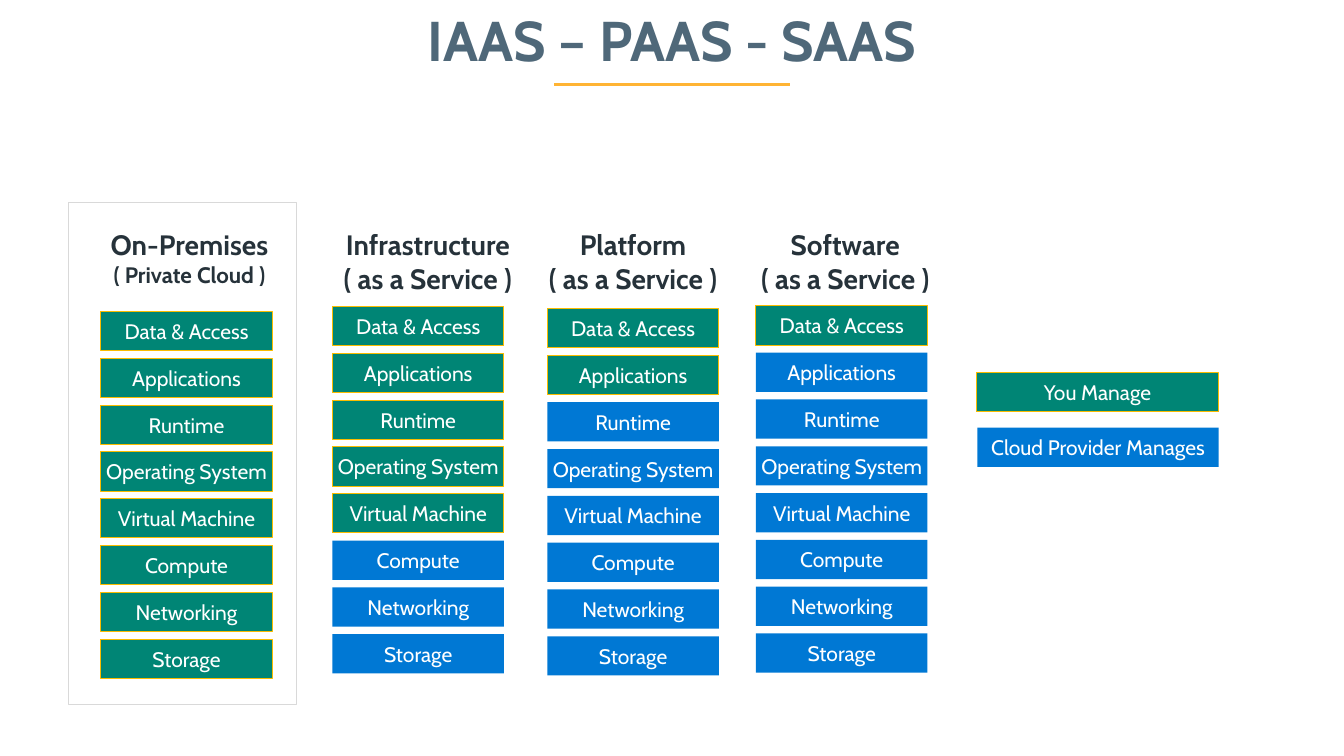
from collections import namedtuple

from lxml.etree import SubElement
from pptx import Presentation
from pptx.dml.color import RGBColor
from pptx.enum.shapes import MSO_CONNECTOR, MSO_SHAPE
from pptx.enum.text import MSO_ANCHOR, MSO_AUTO_SIZE, PP_ALIGN
from pptx.oxml.ns import qn
from pptx.util import Pt

FONT = "Cabin"
SLATE = RGBColor(0x4F, 0x68, 0x79)
INK = RGBColor(0x26, 0x32, 0x3A)
WHITE = RGBColor(0xFF, 0xFF, 0xFF)
GREEN = RGBColor(0x00, 0x85, 0x75)
BLUE = RGBColor(0x00, 0x78, 0xD4)
GOLD = RGBColor(0xF9, 0xBC, 0x00)
ORANGE = RGBColor(0xFF, 0xB4, 0x34)
GREY = RGBColor(0xD9, 0xD9, 0xD9)

SLIDE_WIDTH, SLIDE_HEIGHT = 960, 540
LAYER_WIDTH, LAYER_HEIGHT, LAYER_PITCH = 122.5, 28, 33.43
HEADING_TOP, HEADING_HEIGHT = 162.7, 46.8

LAYERS = ["Data & Access", "Applications", "Runtime", "Operating System",
          "Virtual Machine", "Compute", "Networking", "Storage"]

# "managed" counts the layers, from the top, that the customer manages.
Model = namedtuple("Model", "name note note_size managed left top heading_left heading_width")
MODELS = [
    Model("On-Premises", "( Private Cloud )", 16, 8, 72, 222.5, 65.5, 139.7),
    Model("Infrastructure", "( as a Service )", 20, 5, 237.5, 219, 226.8, 157.7),
    Model("Platform", "( as a Service )", 20, 2, 391, 220.5, 377.3, 149.8),
    Model("Software", "( as a Service )", 20, 1, 540, 218.5, 527.8, 151.9),
]


def write_text(shape, lines, sizes, color, bold=False, anchor=MSO_ANCHOR.TOP, inset=0):
    """Write centred lines, each with its own size."""
    frame = shape.text_frame
    frame.word_wrap = True
    frame.auto_size = MSO_AUTO_SIZE.NONE
    frame.vertical_anchor = anchor
    frame.margin_left = frame.margin_right = Pt(inset)
    frame.margin_top = frame.margin_bottom = Pt(inset)
    for index, (line, size) in enumerate(zip(lines, sizes)):
        paragraph = frame.add_paragraph() if index else frame.paragraphs[0]
        paragraph.alignment = PP_ALIGN.CENTER
        run = paragraph.add_run()
        run.text = line
        run.font.name = FONT
        run.font.size = Pt(size)
        run.font.bold = bold
        run.font.color.rgb = color


def add_rectangle(slide, left, top, width, height, fill=None, line=None):
    shape = slide.shapes.add_shape(
        MSO_SHAPE.RECTANGLE, Pt(left), Pt(top), Pt(width), Pt(height))
    shape.shadow.inherit = False
    if fill is None:
        shape.fill.background()
    else:
        shape.fill.solid()
        shape.fill.fore_color.rgb = fill
    if line is None:
        shape.line.fill.background()
    else:
        shape.line.color.rgb = line
        shape.line.width = Pt(0.75)
    return shape


def add_layer(slide, text, left, top, width, managed_by_you):
    fill, line = (GREEN, GOLD) if managed_by_you else (BLUE, None)
    shape = add_rectangle(slide, left, top, width, LAYER_HEIGHT, fill, line)
    write_text(shape, [text], [15], WHITE, anchor=MSO_ANCHOR.MIDDLE)


def add_title(slide, left, top, width, height):
    title = slide.shapes.title
    title.left, title.top, title.width, title.height = map(Pt, (left, top, width, height))
    write_text(title, ["IAAS – PAAS - SAAS"], [40], SLATE, bold=True, inset=3.6)
    middle, rule_width, rule_top = left + width / 2, 168, top + height + 5
    rule = slide.shapes.add_connector(
        MSO_CONNECTOR.STRAIGHT, Pt(middle - rule_width / 2), Pt(rule_top),
        Pt(middle + rule_width / 2), Pt(rule_top))
    rule.line.color.rgb = ORANGE
    rule.line.width = Pt(2.5)
    SubElement(rule.element.spPr, qn("a:effectLst"))


def add_model(slide, model):
    """Add one column: a heading and its stack of layers."""
    heading = slide.shapes.add_textbox(
        Pt(model.heading_left), Pt(HEADING_TOP), Pt(model.heading_width), Pt(HEADING_HEIGHT))
    write_text(heading, [model.name, model.note], [20, model.note_size], INK, bold=True)
    for index, layer in enumerate(LAYERS):
        add_layer(slide, layer, model.left, model.top + index * LAYER_PITCH,
                  LAYER_WIDTH, index < model.managed)


def add_legend(slide, left, top, width):
    add_layer(slide, "You Manage", left, top, width, True)
    add_layer(slide, "Cloud Provider Manages", left + 0.7, top + 39.2, width - 0.7, False)


def main():
    presentation = Presentation()
    presentation.slide_width = Pt(SLIDE_WIDTH)
    presentation.slide_height = Pt(SLIDE_HEIGHT)
    slide = presentation.slides.add_slide(presentation.slide_layouts.get_by_name("Title Only"))
    add_title(slide, 0, 0, SLIDE_WIDTH, 55.5)
    add_rectangle(slide, 49, 144.3, 163, 359, line=GREY)
    for model in MODELS:
        add_model(slide, model)
    add_legend(slide, 697.5, 266.3, 173)
    presentation.save("out.pptx")


if __name__ == "__main__":
    main()
